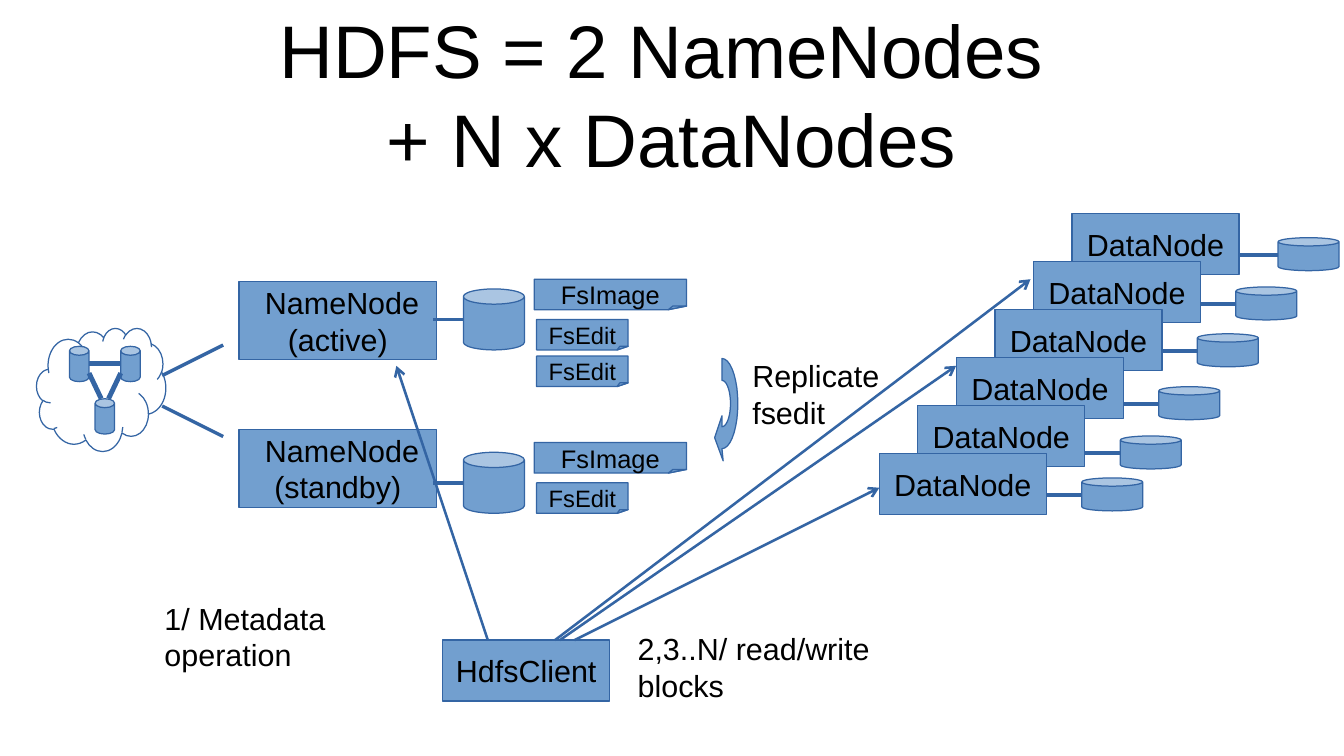
import math

from lxml import etree
from pptx import Presentation
from pptx.dml.color import RGBColor
from pptx.enum.shapes import MSO_CONNECTOR, MSO_SHAPE
from pptx.enum.text import MSO_ANCHOR, PP_ALIGN
from pptx.oxml.ns import qn
from pptx.util import Inches, Pt

STRAIGHT = MSO_CONNECTOR.STRAIGHT
CAN, CLOUD, RECT = MSO_SHAPE.CAN, MSO_SHAPE.CLOUD, MSO_SHAPE.RECTANGLE
MIDDLE, TOP = MSO_ANCHOR.MIDDLE, MSO_ANCHOR.TOP
CENTER, LEFT = PP_ALIGN.CENTER, PP_ALIGN.LEFT

BLUE = RGBColor(0x72, 0x9F, 0xCF)
EDGE = RGBColor(0x34, 0x65, 0xA4)
BLACK = RGBColor(0, 0, 0)
HAIRLINE, ARROW_WIDTH, CLUSTER_WIDTH = 0, 1.5, 2.89


def write(sp, lines, size=18, align=CENTER, anchor=MIDDLE, margin=0.05):
    tf = sp.text_frame
    frame = dict(word_wrap=True, vertical_anchor=anchor,
                 margin_left=Inches(margin), margin_right=Inches(margin),
                 margin_top=Inches(0.05), margin_bottom=Inches(0.05))
    for name, value in frame.items():
        setattr(tf, name, value)
    for i, line in enumerate(lines):
        p = tf.add_paragraph() if i else tf.paragraphs[0]
        p.text = line
        p.alignment = align
        for name, value in dict(name="Arial", size=Pt(size)).items():
            setattr(p.font, name, value)
        p.font.color.rgb = BLACK


def paint(sp, filled=True):
    sp.shadow.inherit = False
    if filled:
        sp.fill.solid()
        sp.fill.fore_color.rgb = BLUE
    else:
        sp.fill.background()
    sp.line.color.rgb = EDGE
    sp.line.width = Pt(HAIRLINE)
    return sp


def shape(s, kind, x, y, w, h, filled=True):
    box = [Inches(v) for v in (x, y, w, h)]
    return paint(s.shapes.add_shape(kind, *box), filled)


def outline(s, points):
    """Closed polygon through points given in inches."""
    points = [(Inches(x), Inches(y)) for x, y in points]
    builder = s.shapes.build_freeform(*points[0])
    builder.add_line_segments(points[1:], close=True)
    return paint(builder.convert_to_shape())


def link(s, start, end, width=HAIRLINE, arrow=False):
    line = s.shapes.add_connector(STRAIGHT, *[Inches(v) for v in (*start, *end)])
    line.line.color.rgb = EDGE
    line.line.width = Pt(width)
    if arrow:
        ln = line.line._get_or_add_ln()
        etree.SubElement(ln, qn("a:tailEnd"), type="arrow")
    etree.SubElement(line._element.spPr, qn("a:effectLst"))


def label(s, lines, x, y, w, h, **style):
    sp = s.shapes.add_textbox(*[Inches(v) for v in (x, y, w, h)])
    write(sp, lines, **{**dict(align=LEFT, anchor=TOP, margin=0.1), **style})


def node(s, text, x, y, w=1.37, h=0.5):
    write(shape(s, RECT, x, y, w, h), [text])


def file_note(s, text, x, y, w, size, h=0.25):
    """Sheet with its lower right corner folded up."""
    right, bottom = x + w, y + h
    cut, crease = right - 0.12 * w, right - 0.09 * w
    corner = (right, bottom - 0.03)
    page = outline(s, [(x, y), (right, y), corner, (cut, bottom), (x, bottom)])
    write(page, [text], size=size, margin=0)
    outline(s, [(cut, bottom), (crease, bottom - 0.03), corner])


def coordinator_cloud(s, x, y):
    shape(s, CLOUD, x, y, 1.06, 1.01, filled=False)
    for dx, dy in ((0.27, 0.15), (0.69, 0.15), (0.48, 0.58)):
        disk = shape(s, CAN, x + dx, y + dy, 0.16, 0.29)
        disk.adjustments[0] = 0.46
    for a, b in (((0.43, 0.29), (0.69, 0.29)),
                 ((0.43, 0.37), (0.53, 0.58)),
                 ((0.69, 0.37), (0.59, 0.58))):
        link(s, (x + a[0], y + a[1]), (x + b[0], y + b[1]), CLUSTER_WIDTH)
    for near, far in ((0.39, 0.14), (0.64, 0.89)):
        link(s, (x + 1.03, y + near), (x + 1.53, y + far))


def name_node(s, text, x, y, disk_y, edits):
    """NameNode box with its disk, image file and edit logs."""
    node(s, text, x, y, 1.62, 0.64)
    file_note(s, "FsImage", x + 2.42, disk_y - 0.08, 1.25, 15)
    for i in range(edits):
        file_note(s, "FsEdit", x + 2.44, disk_y + 0.25 + 0.3 * i, 0.75, 14)
    shape(s, CAN, x + 1.84, disk_y, 0.5, 0.5)
    link(s, (x + 1.59, disk_y + 0.25), (x + 1.84, disk_y + 0.25))


def replicate_arrow(s, x, y):
    """Crescent arrow bending right, from top to bottom."""
    def arc(rx, ry, angles):
        return [(x + 0.06 + rx * math.sin(math.radians(a)),
                 y + 0.37 - ry * math.cos(math.radians(a))) for a in angles]

    head = [(x + 0.07, y + 0.84), (x, y + 0.65), (x + 0.06, y + 0.47)]
    outline(s, arc(0.13, 0.37, range(0, 181, 10)) + head
            + arc(0.07, 0.19, range(180, -1, -10)))


def data_nodes(s, x, y):
    """Staircase of DataNodes running down to the left, each with a disk."""
    disk_offsets = ((1.69, 0.2), (1.66, 0.21), (1.66, 0.2),
                    (1.66, 0.24), (1.66, 0.25), (1.66, 0.2))
    for i, (dx, dy) in enumerate(disk_offsets):
        left, top = x - 1.58 / 5 * i, y + 1.97 / 5 * i
        node(s, "DataNode", left, top)
        shape(s, CAN, left + dx, top + dy, 0.5, 0.27)
        link(s, (left + 1.37, top + dy + 0.14), (left + dx, top + dy + 0.14))


def client(s, x, y):
    node(s, "HdfsClient", x, y)
    for dx, target in ((0.37, (3.25, 3)), (1.08, (7.21, 4)),
                       (0.96, (7.84, 3)), (0.92, (8.45, 2.29))):
        link(s, (x + dx, y), target, ARROW_WIDTH, arrow=True)
    label(s, ["1/ Metadata operation"], x - 2.38, y - 0.38, 2.5, 0.38)
    label(s, ["2,3..N/ read/write blocks"], x + 1.5, y - 0.13, 2.7, 0.38)


def main():
    prs = Presentation()
    prs.slide_width, prs.slide_height = Inches(11.02), Inches(6.2)
    s = prs.slides.add_slide(prs.slide_layouts[6])
    label(s, ["HDFS = 2 NameNodes \v+ N x DataNodes"], 0.55, 0.08, 9.92, 1.37,
          size=44, align=CENTER, anchor=MIDDLE, margin=0)
    coordinator_cloud(s, 0.3, 2.69)
    name_node(s, " NameNode (active)", 1.96, 2.31, 2.37, edits=2)
    name_node(s, " NameNode (standby)", 1.96, 3.52, 3.71, edits=1)
    replicate_arrow(s, 5.86, 2.94)
    label(s, ["Replicate", "fsedit"], 6.07, 2.88, 1.38, 0.68)
    data_nodes(s, 8.79, 1.75)
    client(s, 3.63, 5.25)
    prs.save("out.pptx")


if __name__ == "__main__":
    main()
